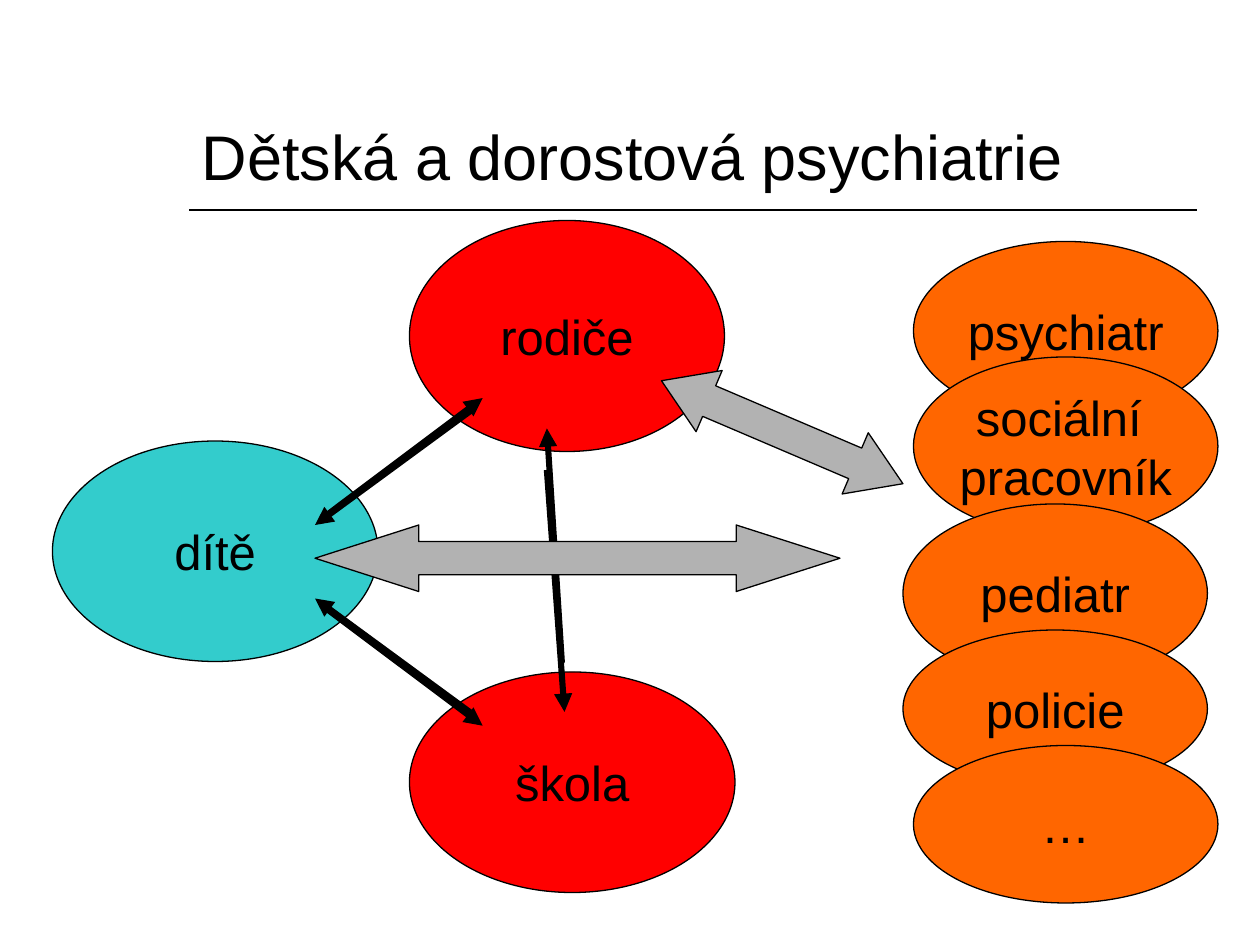
from pptx import Presentation
from pptx.dml.color import RGBColor
from pptx.enum.shapes import MSO_CONNECTOR as Line, MSO_SHAPE as Shape
from pptx.enum.text import MSO_ANCHOR as Anchor, PP_ALIGN as Align
from pptx.oxml.ns import qn
from pptx.util import Pt
from lxml.etree import SubElement

BLACK = RGBColor(0x00, 0x00, 0x00)
TEAL = RGBColor(0x33, 0xCC, 0xCC)
RED = RGBColor(0xFF, 0x00, 0x00)
ORANGE = RGBColor(0xFF, 0x66, 0x00)
GRAY = RGBColor(0xB2, 0xB2, 0xB2)


def write(frame, text, size=28, align=Align.CENTER, anchor=Anchor.MIDDLE, wrap=False):
    frame.word_wrap = wrap
    frame.vertical_anchor = anchor
    frame.margin_left = frame.margin_right = Pt(7.2)
    frame.margin_top = frame.margin_bottom = Pt(3.6)
    frame.text = text
    for para in frame.paragraphs:
        para.alignment = align
        for span in para.runs:
            span.font.name = "Arial"
            span.font.size = Pt(size)
            span.font.color.rgb = BLACK


class Diagram:
    """Draws the elements of the diagram on one page in a shared style."""

    outline = 0.74

    def __init__(self, deck):
        self.page = deck.slides.add_slide(deck.slide_layouts[5])

    def title(self, text, left, top, width, height):
        box = self.page.shapes.title
        box.left, box.top, box.width, box.height = map(Pt, (left, top, width, height))
        write(box.text_frame, text, size=36, align=Align.LEFT, anchor=Anchor.BOTTOM, wrap=True)

    def shape(self, kind, color, left, top, width, height):
        shape = self.page.shapes.add_shape(kind, Pt(left), Pt(top), Pt(width), Pt(height))
        shape.shadow.inherit = False
        shape.fill.solid()
        shape.fill.fore_color.rgb = color
        shape.line.color.rgb = BLACK
        shape.line.width = Pt(self.outline)
        return shape

    def ellipse(self, text, color, left, top, width, height):
        ellipse = self.shape(Shape.OVAL, color, left, top, width, height)
        write(ellipse.text_frame, text)

    def block_arrow(self, left, top, width, head, angle=0):
        arrow = self.shape(Shape.LEFT_RIGHT_ARROW, GRAY, left, top, width, 38)
        arrow.adjustments[0] = 0.5
        arrow.adjustments[1] = head
        arrow.rotation = angle

    def line(self, start, end, width=3.49, arrowhead=True):
        line = self.page.shapes.add_connector(Line.STRAIGHT, *map(Pt, start + end))
        line.line.color.rgb = BLACK
        line.line.width = Pt(width)
        if arrowhead:
            SubElement(line.line._get_or_add_ln(), qn("a:tailEnd"), type="triangle")
        SubElement(line._element.spPr, qn("a:effectLst"))


deck = Presentation()
deck.slide_width, deck.slide_height = Pt(720), Pt(540)
diagram = Diagram(deck)

diagram.line((108, 120), (684, 120), width=0.99, arrowhead=False)
diagram.title("Dětská a dorostová psychiatrie", 108, 24, 576, 90)

diagram.ellipse("dítě", TEAL, 30, 252, 186, 126)
diagram.ellipse("rodiče", RED, 234, 126, 180, 132)
diagram.ellipse("škola", RED, 234, 384, 186, 126)

for start, end in (
    ((270, 234), (180, 300)),
    ((186.5, 294.5), (275.8, 227.5)),
    ((312.5, 268.6), (322.6, 406.8)),
    ((321.1, 378.7), (312.5, 244.8)),
    ((270, 408), (180, 342)),
    ((186.5, 347.8), (275.8, 414.7)),
):
    diagram.line(start, end)

diagram.block_arrow(180, 300, 300, head=1.56)
diagram.ellipse("psychiatr", ORANGE, 522, 138, 174, 102)
diagram.block_arrow(372, 228, 150, head=0.78, angle=23.1)

for text, left, top, height in (
    ("sociální \npracovník", 522, 204, 102),
    ("pediatr", 516, 288, 102),
    ("policie", 516, 360, 90),
    ("…", 522, 426, 90),
):
    diagram.ellipse(text, ORANGE, left, top, 174, height)

deck.save("out.pptx")
